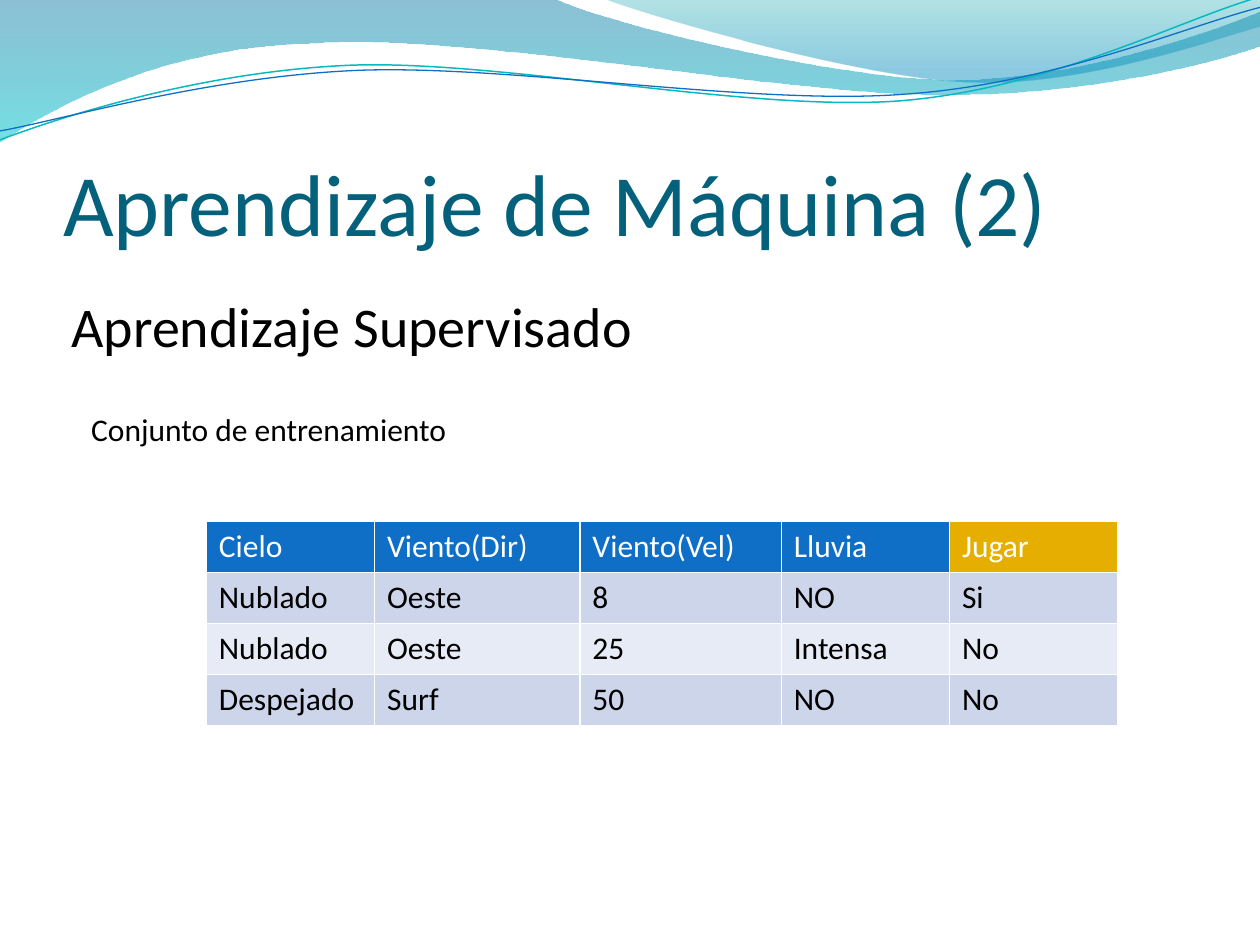
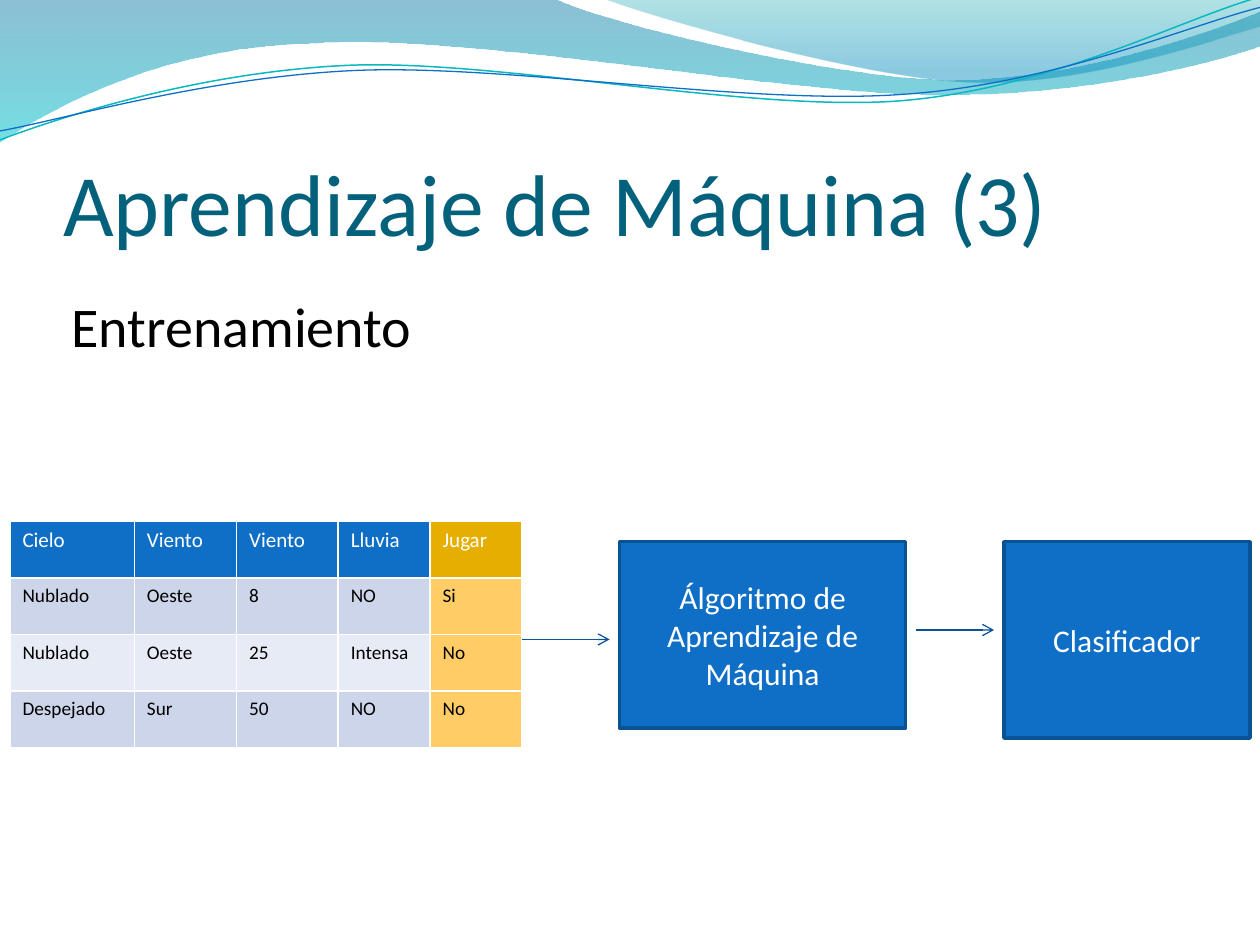
"""Build two slides on supervised learning: the training set and the training flow."""
from lxml import etree
from pptx import Presentation
from pptx import util as u
from pptx.dml.color import RGBColor
from pptx.enum import shapes, text
from pptx.oxml import ns

COLORS = {
    "title": "04617B", "black": "000000", "white": "FFFFFF",
    "blue": "0F6FC6", "box_edge": "0B5292", "arrow": "095295",
    "gold": "E6AF00", "light_gold": "FFCC66",
    "odd_row": "CCD5EA", "even_row": "E7EBF5", "teal_line": "0AB8BF",
    "sea": "0074A1", "aqua": "00C6CF", "teal": "00A1A9", "sky": "008BBF",
}
FORMATS = {
    "title": {"size": u.Pt(50), "color": "title"},
    "heading": {"size": u.Pt(32), "color": "black"},
    "caption": {"size": u.Pt(18), "color": "black"},
    "box": {"size": u.Pt(18), "color": "white"},
}
TITLE_FRAME = {"margin_left": 0, "margin_right": 0, "margin_top": u.Cm(0.13), "margin_bottom": 0,
               "vertical_anchor": text.MSO_ANCHOR.BOTTOM, "auto_size": text.MSO_AUTO_SIZE.NONE,
               "word_wrap": True}
LINE_TILT = 357.3
WAVES = [
    {"start": (0, 0),
     "steps": [[(11.18, -0.03)], [(12.09, 0.43), (16.87, 1.6), (19.25, 1.6)],
               [(21.67, 1.6), (24.33, 0.66), (25.4, 0.23)], [(25.43, 0.91)],
               [(24.97, 1.12), (22.1, 1.93), (18.95, 1.91)],
               [(15.8, 1.91), (9.7, 0.71), (6.53, 0.86)],
               [(3.28, 0.91), (1.17, 2.11), (-0.03, 2.87)], [(0, 0)]],
     "stops": [(0, "sea", 45), (1, "aqua", 55)]},
    {"start": (12.17, -0.03),
     "steps": [[(12.93, 0.28), (17.32, 1.57), (19.53, 1.65)],
               [(21.74, 1.75), (24.41, 0.81), (25.4, 0.53)], [(25.4, 0)], [(12.17, -0.03)]],
     "stops": [(0, "teal", 30), (0.8, "sky", 45)]},
    {"start": (-0.05, 2.22),
     "steps": [[(1.19, 1.82), (4.02, 1.04), (7.05, 1.05)],
               [(10.05, 1.07), (15.02, 2.37), (18.08, 2.29)],
               [(21.13, 2.2), (23.86, 0.91), (25.41, 0.55)]],
     "line": ("teal_line", 0.85)},
    {"start": (-0.04, 2.04),
     "steps": [[(1.16, 1.89), (4.17, 1.15), (7.2, 1.16)],
               [(10.25, 1.18), (15.13, 2.25), (18.19, 2.16)],
               [(21.22, 2.1), (23.93, 1.06), (25.45, 0.75)]],
     "line": ("blue", 0.75)},
]


def rgb(name):
    """Return the named colour."""
    return RGBColor.from_string(COLORS[name])


def cm(*values):
    """Convert centimetres to lengths."""
    return [u.Cm(value) for value in values]


def set_attributes(target, values):
    """Set every attribute of a dict on the target."""
    for name, value in values.items():
        setattr(target, name, value)


def format_text(frame, content, size, color, align=text.PP_ALIGN.LEFT):
    """Write one formatted paragraph into a text frame."""
    frame.text = content
    paragraph = frame.paragraphs[0]
    paragraph.alignment = align
    set_attributes(paragraph.font, {"name": "Calibri", "size": size, "bold": False})
    paragraph.font.color.rgb = rgb(color)


def add_xml(parent, tag, **attributes):
    """Append a drawing element to its parent."""
    return etree.SubElement(parent, ns.qn(tag), attributes)


def bend_segments(wave, steps):
    """Turn each run of three control points into one cubic curve."""
    segments = iter(list(wave.element.iter(ns.qn("a:lnTo"))))
    for step in steps:
        controls = [next(segments) for _ in step]
        if len(controls) == 3:
            outline = controls[0].getparent()
            curve = add_xml(outline, "a:cubicBezTo")
            controls[0].addprevious(curve)
            for control in controls:
                curve.append(control[0])
                outline.remove(control)


def add_wave(slide, start, steps, stops=None, line=None):
    """Add a gradient band or an open curved line."""
    outline = slide.shapes.build_freeform(*cm(*start))
    outline.add_line_segments([cm(*point) for step in steps for point in step],
                              close=bool(stops))
    wave = outline.convert_to_shape()
    bend_segments(wave, steps)
    wave.shadow.inherit = False
    if line:
        color, width = line
        wave.rotation = LINE_TILT
        wave.fill.background()
        wave.line.color.rgb = rgb(color)
        wave.line.width = u.Pt(width)
        return wave
    wave.line.fill.background()
    wave.fill.gradient()
    wave.fill.gradient_angle = 270
    for stop, (position, color, _) in zip(wave.fill.gradient_stops, stops):
        stop.position = position
        stop.color.rgb = rgb(color)
    for color_element, (_, _, opacity) in zip(list(wave.element.iter(ns.qn("a:srgbClr"))), stops):
        add_xml(color_element, "a:alpha", val=str(opacity * 1000))
    return wave


def decorate_layout(layout, slide):
    """Draw the waves once and hand them to the shared layout."""
    for footer in list(layout.placeholders)[1:]:
        footer.element.getparent().remove(footer.element)
    for order, wave in enumerate(WAVES):
        layout.shapes.element.insert(2 + order, add_wave(slide, **wave).element)


def add_titled_slide(prs, layout, title, heading):
    """Add a slide with its title and heading."""
    slide = prs.slides.add_slide(layout)
    place = dict(zip(("left", "top", "width", "height"), cm(1.27, 1.95, 22.86, 3.17)))
    set_attributes(slide.shapes.title, place)
    frame = slide.shapes.title.text_frame
    set_attributes(frame, TITLE_FRAME)
    format_text(frame, title, **FORMATS["title"])
    add_label(slide, (1.19, 5.75, 16.87, 1.63), heading, "heading")
    return slide


def add_label(slide, place, content, style, wrap=True):
    """Add a text box that fits its text."""
    frame = slide.shapes.add_textbox(*cm(*place)).text_frame
    set_attributes(frame, {"word_wrap": wrap, "auto_size": text.MSO_AUTO_SIZE.SHAPE_TO_FIT_TEXT})
    format_text(frame, content, **FORMATS[style])


def style_cell(cell, fill):
    """Give a cell white borders and a solid fill."""
    properties = cell._tc.get_or_add_tcPr()
    for side in "LRTB":
        border = add_xml(properties, f"a:ln{side}", w=str(u.Pt(1)))
        add_xml(add_xml(border, "a:solidFill"), "a:srgbClr", val=COLORS["white"])
    cell.fill.solid()
    cell.fill.fore_color.rgb = rgb(fill)


def add_weather_table(slide, corner, widths, row_height, rows, sizes, answer_fill=None):
    """Add the training table with a gold answer column."""
    place = cm(*corner, sum(widths), row_height * len(rows))
    table = slide.shapes.add_table(len(rows), len(widths), *place).table
    for column, width in zip(table.columns, widths):
        column.width = u.Cm(width)
    for r, row in enumerate(rows):
        table.rows[r].height = u.Cm(row_height)
        for c, content in enumerate(row):
            is_answer = c == len(row) - 1
            if r == 0:
                fill, color, size = "gold" if is_answer else "blue", "white", sizes[0]
            else:
                fill, color, size = "odd_row" if r % 2 else "even_row", "black", sizes[1]
                if is_answer and answer_fill:
                    fill = answer_fill
            cell = table.cell(r, c)
            style_cell(cell, fill)
            format_text(cell.text_frame, content, u.Pt(size), color)


def add_box(slide, place, content):
    """Add a blue process box."""
    box = slide.shapes.add_shape(shapes.MSO_SHAPE.RECTANGLE, *cm(*place))
    box.shadow.inherit = False
    box.fill.solid()
    box.fill.fore_color.rgb = rgb("blue")
    box.line.color.rgb = rgb("box_edge")
    box.line.width = u.Pt(2)
    box.text_frame.vertical_anchor = text.MSO_ANCHOR.MIDDLE
    format_text(box.text_frame, content, align=text.PP_ALIGN.CENTER, **FORMATS["box"])


def add_arrow(slide, left, right, y):
    """Add a horizontal arrow pointing right."""
    arrow = slide.shapes.add_connector(shapes.MSO_CONNECTOR.STRAIGHT, *cm(left, y, right, y))
    arrow.line.color.rgb = rgb("arrow")
    arrow.line.width = u.Pt(0.75)
    add_xml(arrow.line._get_or_add_ln(), "a:tailEnd", type="arrow")
    add_xml(arrow.element.spPr, "a:effectLst")


def weather_rows(direction, speed, last_direction):
    """Return the header and the three observed days."""
    return [("Cielo", direction, speed, "Lluvia", "Jugar"),
            ("Nublado", "Oeste", "8", "NO", "Si"),
            ("Nublado", "Oeste", "25", "Intensa", "No"),
            ("Despejado", last_direction, "50", "NO", "No")]


def main():
    """Build and save the presentation."""
    prs = Presentation()
    prs.slide_width, prs.slide_height = cm(25.4, 19.05)
    layout = prs.slide_layouts[5]

    training_set = add_titled_slide(prs, layout, "Aprendizaje de Máquina (2)",
                                    "Aprendizaje Supervisado")
    decorate_layout(layout, training_set)
    add_label(training_set, (1.59, 8.14, 7.75, 1.02), "Conjunto de entrenamiento",
              "caption", wrap=False)
    add_weather_table(training_set, (4.16, 10.51), (3.39, 4.14, 4.06, 3.39, 3.39), 1.03,
                      weather_rows("Viento(Dir)", "Viento(Vel)", "Surf"), (18, 18))

    training = add_titled_slide(prs, layout, "Aprendizaje de Máquina (3)", "Entrenamiento")
    add_weather_table(training, (0.2, 10.51), (2.51, 2.06, 2.05, 1.85, 1.85), 1.14,
                      weather_rows("Viento", "Viento", "Sur"), (12, 11), "light_gold")
    add_box(training, (12.49, 10.92, 5.77, 3.76), "Álgoritmo de Aprendizaje de Máquina")
    add_arrow(training, 10.52, 12.29, 12.89)
    add_box(training, (20.24, 10.92, 4.96, 3.96), "Clasificador")
    add_arrow(training, 18.46, 20.04, 12.7)

    prs.save("out.pptx")


if __name__ == "__main__":
    main()
